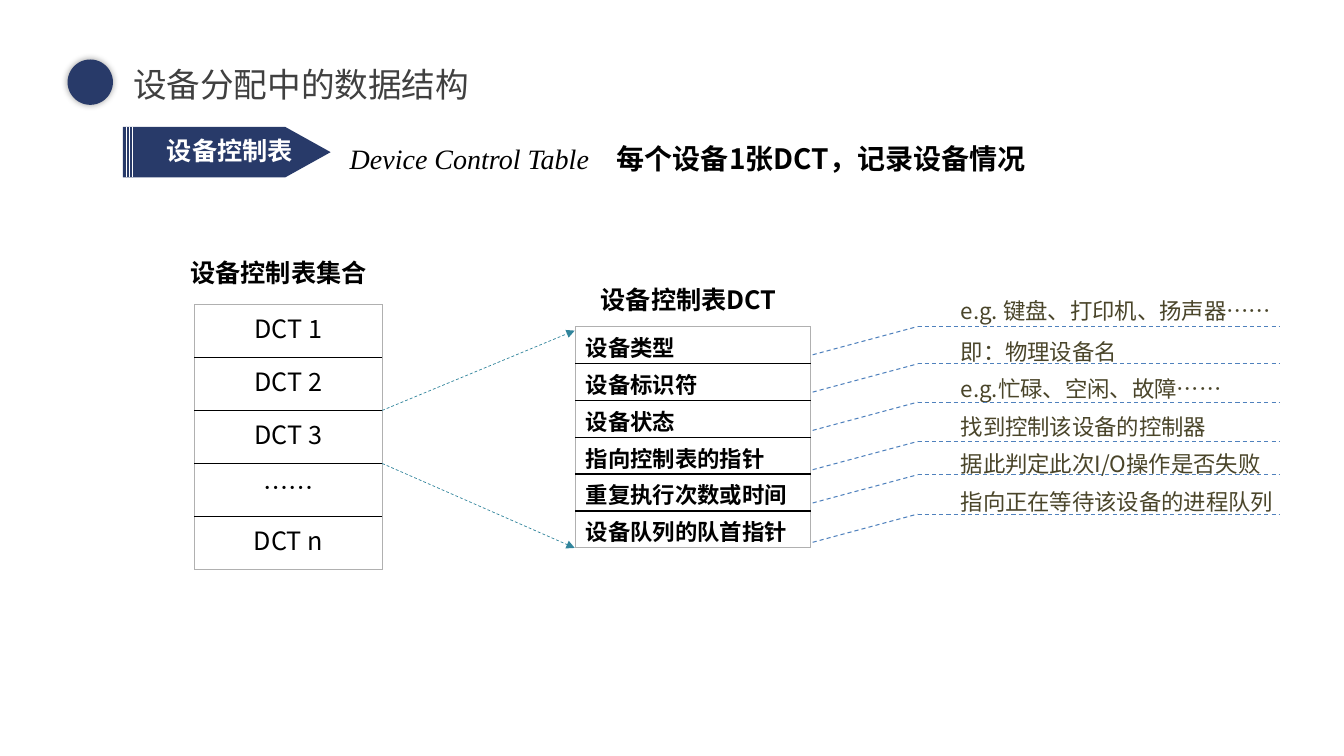
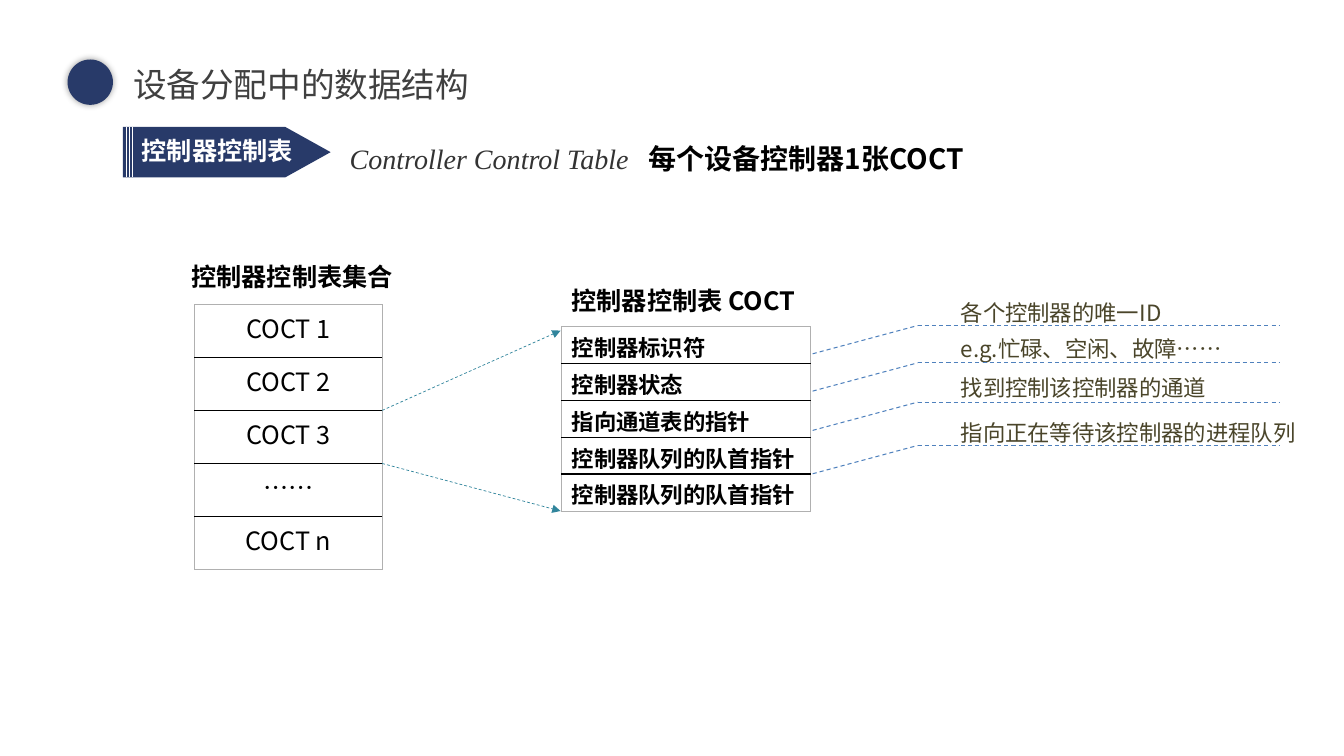
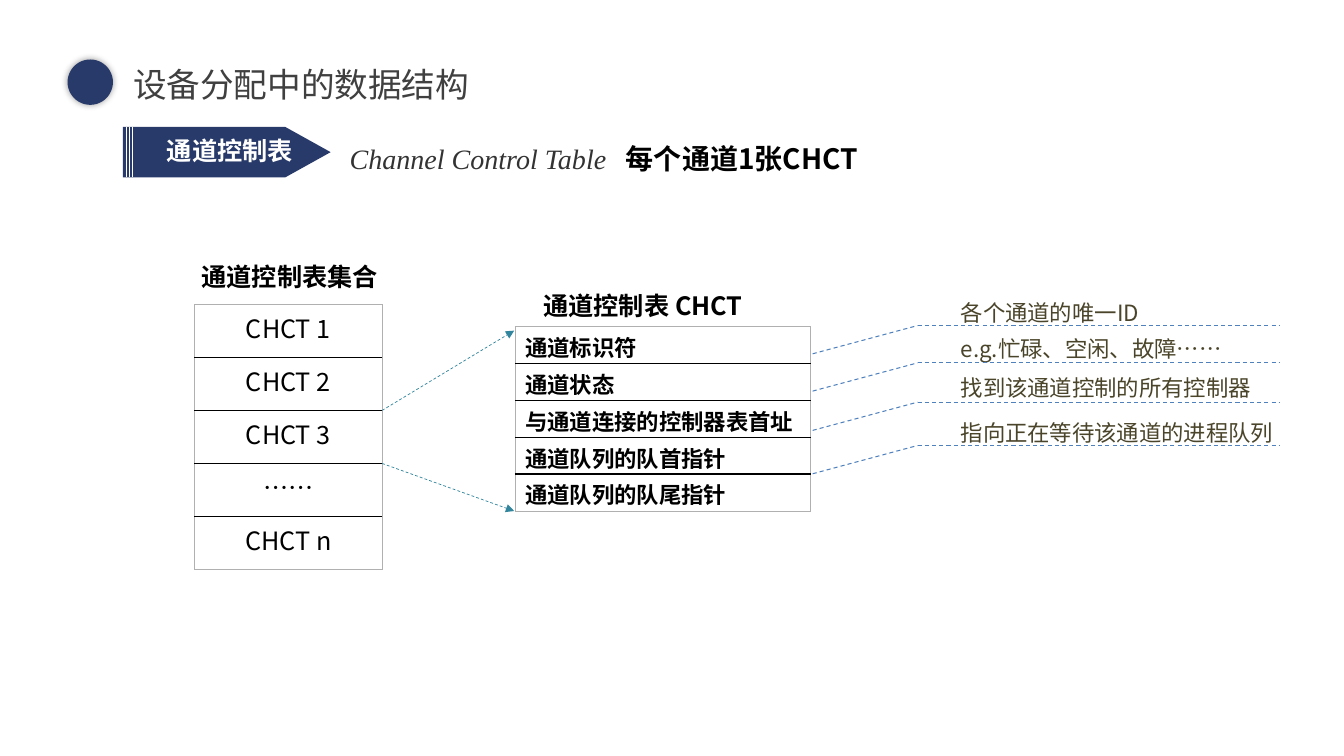
from lxml.etree import SubElement
from pptx import Presentation
from pptx.dml.color import RGBColor
from pptx.enum.dml import MSO_LINE
from pptx.enum.shapes import MSO_CONNECTOR, MSO_SHAPE
from pptx.enum.text import MSO_ANCHOR, MSO_AUTO_SIZE, PP_ALIGN
from pptx.oxml.ns import qn
from pptx.util import Inches, Pt

SANS, SERIF = "Noto Sans CJK SC", "Times New Roman"
NAVY, WHITE, BLACK = "283A69", "FFFFFF", "000000"
GREY, INK, OLIVE = "404040", "333333", "4A452A"
TEAL, BLUE, EDGE = "31859C", "4F81BD", "B0B0B0"

TITLE = "设备分配中的数据结构"
SET_X, SET_Y, SET_W, SET_ROW = 1.93, 3.02, 1.86, 0.526
FORM_Y, FORM_END, FORM_ROW = 3.24, 8.04, 0.366
BEND, NOTE_END = 9.1, 12.7

# Each note: top of its text, height of its rule, wording.
PAGES = [
    dict(
        tag="设备控制表", name="Device Control Table", tint=BLACK, tab=2.65,
        gist="每个设备1张DCT，记录设备情况", code="DCT",
        group=("设备控制表集合", 1.79, 2.5),
        head=("设备控制表DCT", 5.86, 2.77), left=5.71,
        rows=["设备类型", "设备标识符", "设备状态", "指向控制表的指针",
              "重复执行次数或时间", "设备队列的队首指针"],
        notes=[(2.9, 3.24, "e.g. 键盘、打印机、扬声器……"),
               (3.31, 3.61, "即：物理设备名"),
               (3.67, 3.99, "e.g.忙碌、空闲、故障……"),
               (4.05, 4.38, "找到控制该设备的控制器"),
               (4.42, 4.71, "据此判定此次I/O操作是否失败"),
               (4.79, 5.1, "指向正在等待该设备的进程队列")]),
    dict(
        tag="控制器控制表", name="Controller Control Table", tint=INK, tab=2.96,
        gist="每个设备控制器1张COCT", code="COCT",
        group=("控制器控制表集合", 1.8, 2.54),
        head=("控制器控制表 COCT", 5.57, 2.78), left=5.57,
        rows=["控制器标识符", "控制器状态", "指向通道表的指针",
              "控制器队列的队首指针", "控制器队列的队首指针"],
        notes=[(2.92, 3.23, "各个控制器的唯一ID"),
               (3.28, 3.6, "e.g.忙碌、空闲、故障……"),
               (3.66, 3.99, "找到控制该控制器的通道"),
               (4.11, 4.42, "指向正在等待该控制器的进程队列")]),
    dict(
        tag="通道控制表", name="Channel Control Table", tint=INK, tab=2.74,
        gist="每个通道1张CHCT", code="CHCT",
        group=("通道控制表集合", 1.9, 2.54),
        head=("通道控制表 CHCT", 5.29, 2.83), left=5.11,
        rows=["通道标识符", "通道状态", "与通道连接的控制器表首址",
              "通道队列的队首指针", "通道队列的队尾指针"],
        notes=[(2.92, 3.23, "各个通道的唯一ID"),
               (3.28, 3.6, "e.g.忙碌、空闲、故障……"),
               (3.66, 3.99, "找到该通道控制的所有控制器"),
               (4.11, 4.42, "指向正在等待该通道的进程队列")]),
]


def rgb(code):
    return RGBColor.from_string(code)


def box(*sides):
    return [Inches(side) for side in sides]


def write(para, text, size, color=BLACK, bold=False, italic=False, face=SANS):
    run = para.add_run()
    run.text = text
    font = run.font
    font.size, font.bold, font.italic = Pt(size), bold, italic
    font.color.rgb = rgb(color)
    font.name = face
    SubElement(run._r.get_or_add_rPr(), qn("a:ea"), typeface=face)


def label(slide, x, y, w, h):
    """Add a wrapping text box and return its first paragraph."""
    frame = slide.shapes.add_textbox(*box(x, y, w, h)).text_frame
    frame.word_wrap = True
    frame.auto_size = MSO_AUTO_SIZE.SHAPE_TO_FIT_TEXT
    return frame.paragraphs[0]


def line(slide, start, end, color, width, dash=True, arrow=False):
    link = slide.shapes.add_connector(
        MSO_CONNECTOR.STRAIGHT, *box(*start, *end))
    link.line.color.rgb = rgb(color)
    link.line.width = Pt(width)
    if dash:
        link.line.dash_style = MSO_LINE.DASH
    if arrow:
        SubElement(link.line._get_or_add_ln(), qn("a:tailEnd"), type="triangle")
    SubElement(link._element.spPr, qn("a:effectLst"))


def solid(slide, kind, *sides):
    shape = slide.shapes.add_shape(kind, *box(*sides))
    shape.shadow.inherit = False
    shape.fill.solid()
    shape.fill.fore_color.rgb = rgb(NAVY)
    shape.line.fill.background()
    return shape


def glow(shape):
    """Give the shape a soft shadow on all sides."""
    effects = shape._element.spPr.find(qn("a:effectLst"))
    shade = SubElement(effects, qn("a:outerShdw"), blurRad=str(Pt(5)),
                       dist="0", dir="0", algn="ctr", rotWithShape="0")
    tone = SubElement(shade, qn("a:srgbClr"), val=BLACK)
    SubElement(tone, qn("a:alpha"), val="40000")


def border(cell, side, color, width):
    edge = SubElement(cell._tc.get_or_add_tcPr(), qn("a:ln" + side),
                      w=str(Pt(width)))
    fill = SubElement(edge, qn("a:solidFill"))
    SubElement(fill, qn("a:srgbClr"), val=color)


def table(slide, x, y, w, step, rows, size, bold, align, pads):
    """Add a one-column table with grey sides and black row rules."""
    grid = slide.shapes.add_table(
        len(rows), 1, *box(x, y, w, step * len(rows))).table
    grid.first_row = grid.horz_banding = False
    last = len(rows) - 1
    for i, text in enumerate(rows):
        grid.rows[i].height = Inches(step)
        cell = grid.cell(i, 0)
        cell.margin_top, cell.margin_bottom = box(*pads)
        for side, outer in zip("LRTB", (True, True, i == 0, i == last)):
            border(cell, side, *((EDGE, 0.5) if outer else (BLACK, 1)))
        cell.fill.background()
        para = cell.text_frame.paragraphs[0]
        para.alignment = align
        write(para, text, size, bold=bold)


def header(slide, page):
    title = slide.shapes.title
    title.left, title.top, title.width, title.height = box(1.22, 0.63, 3.81, 0.41)
    frame = title.text_frame
    frame.auto_size = MSO_AUTO_SIZE.NONE
    frame.vertical_anchor = MSO_ANCHOR.MIDDLE
    frame.paragraphs[0].alignment = PP_ALIGN.LEFT
    write(frame.paragraphs[0], TITLE, 24, GREY)
    glow(solid(slide, MSO_SHAPE.OVAL, 0.67, 0.59, 0.45, 0.45))

    flag = solid(slide, MSO_SHAPE.PENTAGON, 1.22, 1.26, 2.06, 0.5)
    flag.adjustments[0] = 0.9
    frame = flag.text_frame
    frame.vertical_anchor = MSO_ANCHOR.MIDDLE
    frame.margin_left, frame.margin_right = box(0, 0.15)
    frame.margin_top, frame.margin_bottom = box(0, 0.03)
    frame.paragraphs[0].alignment = PP_ALIGN.RIGHT
    write(frame.paragraphs[0], page["tag"], 18, WHITE, bold=True)
    for i in range(3):
        x = 1.25 + 0.03 * i
        line(slide, (x, 1.26), (x, 1.76), WHITE, 0.5, dash=False)

    para = label(slide, 3.37, 1.35, 8.4, 0.44)
    tabs = SubElement(para._p.get_or_add_pPr(), qn("a:tabLst"))
    SubElement(tabs, qn("a:tab"), pos=str(Inches(page["tab"])), algn="l")
    write(para, page["name"] + "\t", 20, page["tint"], italic=True, face=SERIF)
    write(para, page["gist"], 20, bold=True)


def build(slide, page):
    header(slide, page)
    for text, x, y in (page["group"], page["head"]):
        write(label(slide, x, y, 2.8, 0.4), text, 18, bold=True)

    code, rows, left = page["code"], page["rows"], page["left"]
    group = [f"{code} 1", f"{code} 2", f"{code} 3", "……", f"{code} n"]
    table(slide, SET_X, SET_Y, SET_W, SET_ROW, group, 18, False,
          PP_ALIGN.CENTER, (0.05, 0.05))
    table(slide, left, FORM_Y, FORM_END - left, FORM_ROW, rows, 16, True,
          PP_ALIGN.LEFT, (0.04, 0))

    edge = SET_X + SET_W
    ends = (FORM_Y + 0.04, FORM_Y + FORM_ROW * len(rows))
    for row, end in zip((2, 3), ends):
        line(slide, (edge, SET_Y + SET_ROW * row), (left - 0.01, end),
             TEAL, 0.5, arrow=True)

    for top, rule, text in page["notes"]:
        write(label(slide, BEND + 0.33, top, 3.81, 0.37), text, 16, OLIVE)
        line(slide, (FORM_END + 0.02, rule + 0.28), (BEND, rule), BLUE, 0.75)
        line(slide, (BEND, rule), (NOTE_END, rule), BLUE, 0.75)


def main():
    deck = Presentation()
    deck.slide_width, deck.slide_height = box(13.33, 7.5)
    for page in PAGES:
        build(deck.slides.add_slide(deck.slide_layouts[5]), page)
    deck.save("out.pptx")


if __name__ == "__main__":
    main()
